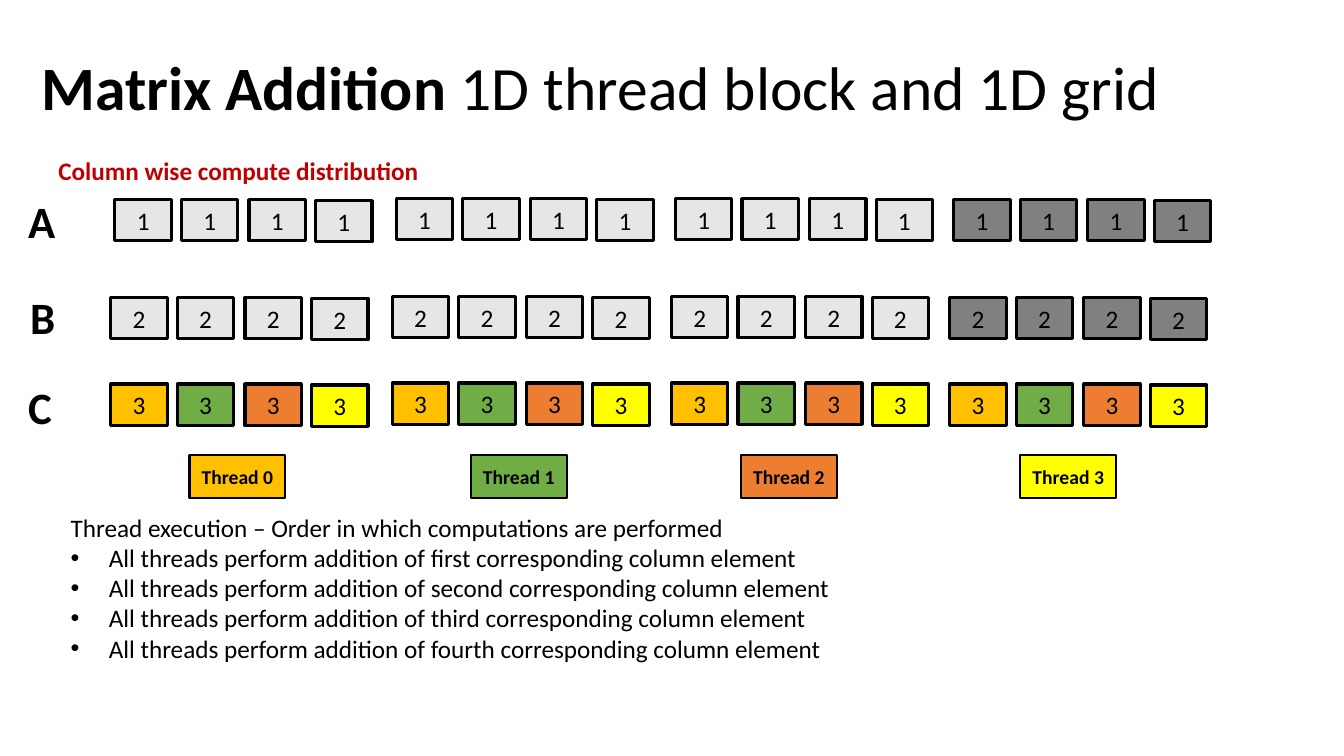
from lxml.etree import SubElement
from pptx import Presentation
from pptx.dml.color import RGBColor
from pptx.enum.shapes import MSO_SHAPE as Shape
from pptx.enum.text import MSO_ANCHOR as Anchor, MSO_AUTO_SIZE as Fit, PP_ALIGN as Align
from pptx.oxml.ns import qn
from pptx.util import Inches, Pt

BLACK = RGBColor(0x00, 0x00, 0x00)
RED = RGBColor(0xC0, 0x00, 0x00)
LIGHT = RGBColor(0xE7, 0xE6, 0xE6)
GREY = RGBColor(0x80, 0x80, 0x80)
GOLD = RGBColor(0xFF, 0xC0, 0x00)
GREEN = RGBColor(0x70, 0xAD, 0x47)
ORANGE = RGBColor(0xED, 0x7D, 0x31)
YELLOW = RGBColor(0xFF, 0xFF, 0x00)

THREADS = [GOLD, GREEN, ORANGE, YELLOW]
BLOCKS = [(0, 0), (2.79, -0.01), (5.56, -0.01), (8.32, 0)]
COLUMNS = [(0, 0), (0.66, 0), (1.33, 0), (1.99, 0.01)]


class Board:
    """Hold the text style and the current slide."""

    def __init__(self, slide):
        self.slide = slide
        self.style = {"name": "Calibri", "size": Pt(18), "bold": False}

    def text(self, para, words, color=BLACK, **extra):
        run = para.add_run()
        run.text = words
        for key, value in {**self.style, **extra}.items():
            setattr(run.font, key, value)
        run.font.color.rgb = color

    def place(self, shape, box):
        for key, value in zip(("left", "top", "width", "height"), box):
            setattr(shape, key, Inches(value))

    def title(self, box, strong, plain):
        shape = self.slide.shapes.title
        self.place(shape, box)
        frame = shape.text_frame
        frame.auto_size = Fit.NONE
        frame.vertical_anchor = Anchor.MIDDLE
        para = frame.paragraphs[0]
        para.alignment = Align.LEFT
        para.line_spacing = 0.9
        self.text(para, strong, size=Pt(44), bold=True)
        self.text(para, plain, size=Pt(44))

    def list(self, box, intro, items):
        shape = self.slide.placeholders[1]
        self.place(shape, box)
        frame = shape.text_frame
        frame.auto_size = Fit.NONE
        frame.vertical_anchor = Anchor.TOP
        for spot, words in enumerate([intro, *items]):
            para = frame.add_paragraph() if spot else frame.paragraphs[0]
            para.space_before = Pt(0)
            para.line_spacing = 1.0
            props = para._p.get_or_add_pPr()
            indent = Inches(0.38) if spot else 0
            props.set("marL", str(indent))
            props.set("indent", str(-indent))
            if spot:
                SubElement(props, qn("a:buFont"), typeface="Arial")
                SubElement(props, qn("a:buChar"), char="•")
            else:
                SubElement(props, qn("a:buNone"))
            self.text(para, words)

    def label(self, box, words, color=BLACK, wrap=True, **extra):
        frame = self.slide.shapes.add_textbox(*map(Inches, box)).text_frame
        frame.word_wrap = wrap
        self.text(frame.paragraphs[0], words, color, bold=True, **extra)

    def box(self, box, words, fill, line, **extra):
        shape = self.slide.shapes.add_shape(Shape.RECTANGLE, *map(Inches, box))
        shape.shadow.inherit = False
        shape.fill.solid()
        shape.fill.fore_color.rgb = fill
        shape.line.color.rgb = BLACK
        shape.line.width = Pt(line)
        frame = shape.text_frame
        frame.vertical_anchor = Anchor.MIDDLE
        para = frame.paragraphs[0]
        para.alignment = Align.CENTER
        self.text(para, words, **extra)

    def matrix(self, left, top, words, fills):
        for (block, rise), row in zip(BLOCKS, fills):
            for (shift, drop), fill in zip(COLUMNS, row):
                spot = (left + block + shift, top + rise + drop, 0.56, 0.41)
                self.box(spot, words, fill, 2.25)


def main():
    deck = Presentation()
    deck.slide_width, deck.slide_height = Inches(13.33), Inches(7.5)
    board = Board(deck.slides.add_slide(deck.slide_layouts[1]))

    board.title((0.31, 0.17, 11.5, 1.45), "Matrix Addition ", "1D thread block and 1D grid")
    board.label((0.48, 1.49, 3.8, 0.4), "Column wise compute distribution", RED, wrap=False)

    source = [[LIGHT] * 4] * 3 + [[GREY] * 4]
    board.matrix(1.14, 1.98, "1", source)
    board.matrix(1.1, 2.95, "2", source)
    board.matrix(1.1, 3.81, "3", [THREADS] * 4)
    for name, left, top in [("A", 0.18, 1.87), ("B", 0.2, 2.83), ("C", 0.18, 3.72)]:
        board.label((left, top, 0.45, 0.64), name, size=Pt(32))

    for count, (left, fill) in enumerate(zip((1.88, 4.67, 7.35, 10.12), THREADS)):
        board.box((left, 4.51, 0.95, 0.43), f"Thread {count}", fill, 1.5, size=Pt(14), bold=True)

    board.list(
        (0.6, 5.03, 10.74, 1.92),
        "Thread execution – Order in which computations are performed",
        [f"All threads perform addition of {rank} corresponding column element"
         for rank in ("first", "second", "third", "fourth")],
    )
    deck.save("out.pptx")


if __name__ == "__main__":
    main()
